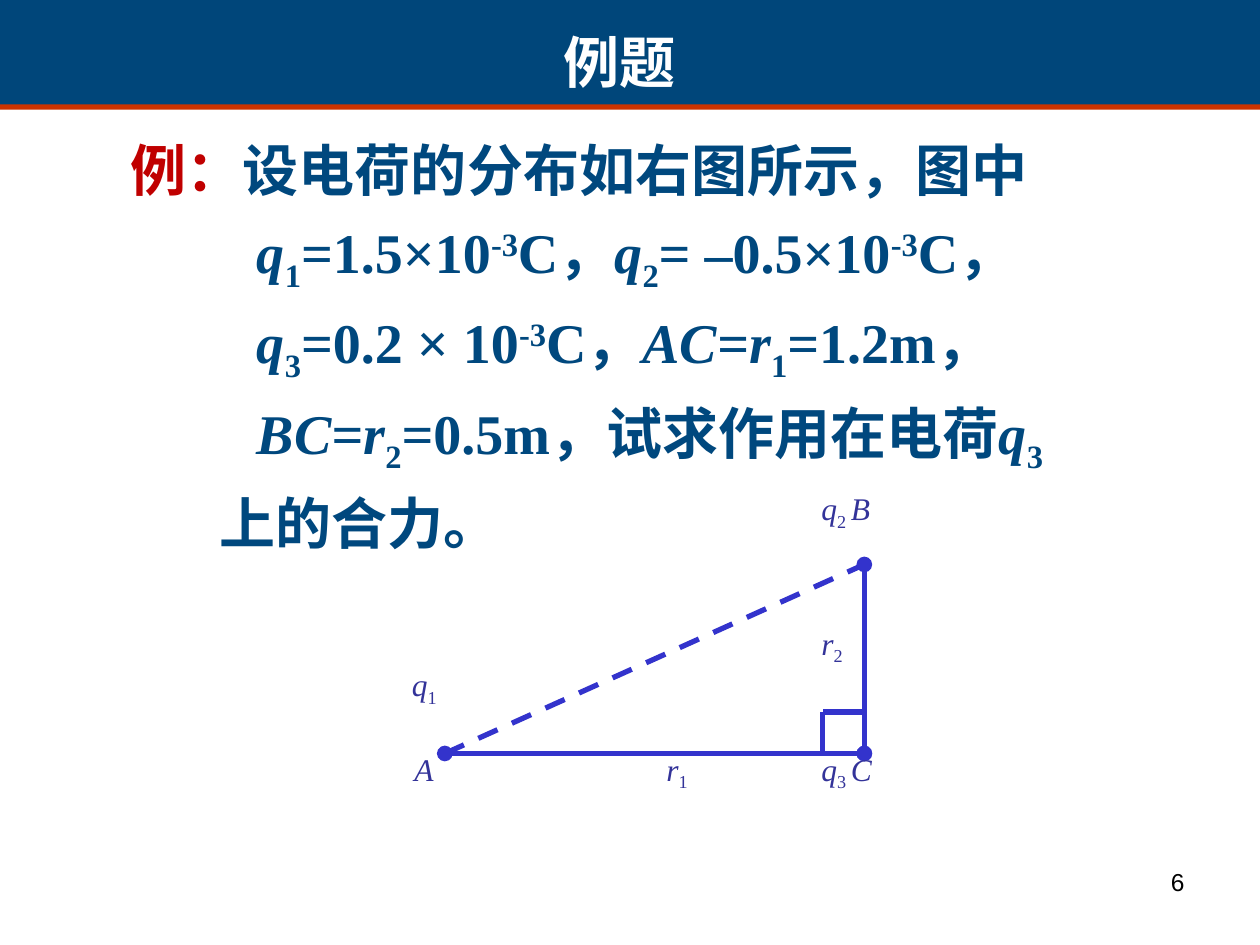
from lxml.etree import SubElement
from pptx import Presentation
from pptx.dml.color import RGBColor
from pptx.enum.dml import MSO_LINE
from pptx.enum.shapes import MSO_CONNECTOR, MSO_SHAPE
from pptx.enum.text import PP_ALIGN
from pptx.oxml.ns import qn
from pptx.util import Inches, Pt

NAVY = RGBColor(0x00, 0x46, 0x7A)
ORANGE = RGBColor(0xCC, 0x33, 0x00)
INK = RGBColor(0x00, 0x48, 0x7E)
RED = RGBColor(0xC0, 0x00, 0x00)
WHITE = RGBColor(0xFF, 0xFF, 0xFF)
BLACK = RGBColor(0x00, 0x00, 0x00)
LINE_BLUE = RGBColor(0x33, 0x33, 0xCC)
LABEL_BLUE = RGBColor(0x33, 0x33, 0x99)

COLUMNS, ROWS = 100, 75
SERIF, SANS, CHINESE = "Times New Roman", "Arial", "Noto Sans CJK SC"
BASELINES = {"sub": "-25000", "super": "30000"}


class SlideBuilder:
    """Places styled elements on a grid of columns and rows."""

    def __init__(self, deck):
        self.page = deck.slides.add_slide(deck.slide_layouts[6])
        self.column = deck.slide_width / COLUMNS
        self.row = deck.slide_height / ROWS

    def place(self, x, y):
        return round(x * self.column), round(y * self.row)

    def bar(self, top, height, color):
        shape = self.page.shapes.add_shape(
            MSO_SHAPE.RECTANGLE, *self.place(0, top), *self.place(COLUMNS, height))
        shape.shadow.inherit = False
        shape.fill.solid()
        shape.fill.fore_color.rgb = color
        shape.line.fill.background()

    def line(self, start, end, dots=False, dashed=False):
        connector = self.page.shapes.add_connector(
            MSO_CONNECTOR.STRAIGHT, *self.place(*start), *self.place(*end))
        connector.line.color.rgb = LINE_BLUE
        connector.line.width = Pt(3)
        if dashed:
            connector.line.dash_style = MSO_LINE.DASH
        if dots:
            for end_name in ("a:headEnd", "a:tailEnd"):
                SubElement(connector.line._get_or_add_ln(), qn(end_name), type="oval")
        SubElement(connector._element.spPr, qn("a:effectLst"))

    def text(self, area, paragraphs, size, color, font=SERIF, bold=False,
             align=PP_ALIGN.LEFT, space=0, indents=None):
        """Each paragraph is a list of (words, style) spans."""
        left, top, width, height = area
        box = self.page.shapes.add_textbox(
            *self.place(left, top), *self.place(width, height))
        frame = box.text_frame
        frame.word_wrap = True
        for index, spans in enumerate(paragraphs):
            para = frame.add_paragraph() if index else frame.paragraphs[0]
            para.alignment = align
            if index:
                para.space_before = Pt(space)
            if indents:
                para._p.get_or_add_pPr().set("marL", str(Inches(indents[index])))
            for words, style in spans:
                self.span(para, words, style, size, color, font, bold)

    def span(self, para, words, style, size, color, font, bold):
        span = para.add_run()
        span.text = words
        span.font.name = font
        span.font.size = Pt(size)
        span.font.bold = bold
        span.font.italic = style == "italic"
        span.font.color.rgb = RED if style == "red" else color
        properties = span._r.get_or_add_rPr()
        if style in BASELINES:
            properties.set("baseline", BASELINES[style])
        properties.find(qn("a:latin")).addnext(
            properties.makeelement(qn("a:ea"), {"typeface": CHINESE}))

    def label(self, left, top, width, letter, number="", point=""):
        spans = [(letter, "italic"), (number, "sub"), (point, "italic")]
        self.text((left, top, width, 4.4), [[span for span in spans if span[0]]],
                  18, LABEL_BLUE)


def main():
    deck = Presentation()
    deck.slide_width, deck.slide_height = Inches(10), Inches(7.5)
    page = SlideBuilder(deck)

    # Page number
    page.text((71.7, 68.3, 23.3, 5.2), [[("6", "")]], 14, BLACK, SANS,
              align=PP_ALIGN.RIGHT)

    # Problem statement
    problem = [
        [("例：", "red"), ("设电荷的分布如右图所示，图中", "")],
        [("q", "italic"), ("1", "sub"), ("=1.5×10", ""), ("-3", "super"), ("C，", ""),
         ("q", "italic"), ("2", "sub"), ("= –0.5×10", ""), ("-3", "super"), ("C，", "")],
        [("q", "italic"), ("3", "sub"), ("=0.2 × 10", ""), ("-3", "super"), ("C，", ""),
         ("AC", "italic"), ("=", ""), ("r", "italic"), ("1", "sub"), ("=1.2m，", "")],
        [("BC", "italic"), ("=", ""), ("r", "italic"), ("2", "sub"),
         ("=0.5m，试求作用在电荷", ""), ("q", "italic"), ("3", "sub")],
        [("上的合力。", "")],
    ]
    page.text((9.4, 10.3, 77.3, 35.1), problem, 32, INK, bold=True, space=8,
              indents=[0, 1, 1, 1, 0.7])

    # Triangle of charges with its right-angle mark
    a, b, c = (35.3, 59.8), (68.6, 44.8), (68.6, 59.8)
    mark = 3.3
    corner = (c[0] - mark, c[1] - mark)
    page.line((c[0], corner[1]), corner)
    page.line(corner, (corner[0], c[1]))
    page.line(a, c, dots=True)
    page.line(c, b, dots=True)
    page.line(a, b, dashed=True)

    # Labels of points, charges and distances
    page.label(31.9, 59, 5.8, "A")
    page.label(51.9, 59, 9.2, "r", "1")
    page.label(31.7, 52.3, 5.8, "q", "1")
    page.label(64.2, 59, 9.2, "q", "3 ", "C")
    page.label(64.2, 38.3, 13.9, "q", "2 ", "B")
    page.label(64.2, 49, 7.5, "r", "2")

    # Title band
    page.bar(7.9, 0.8, ORANGE)
    page.bar(0, 8.3, NAVY)
    page.text((25.8, 1.7, 45.7, 6.4), [[(" 例题", "")]], 32, WHITE, CHINESE,
              bold=True, align=PP_ALIGN.CENTER)

    deck.save("out.pptx")


if __name__ == "__main__":
    main()
